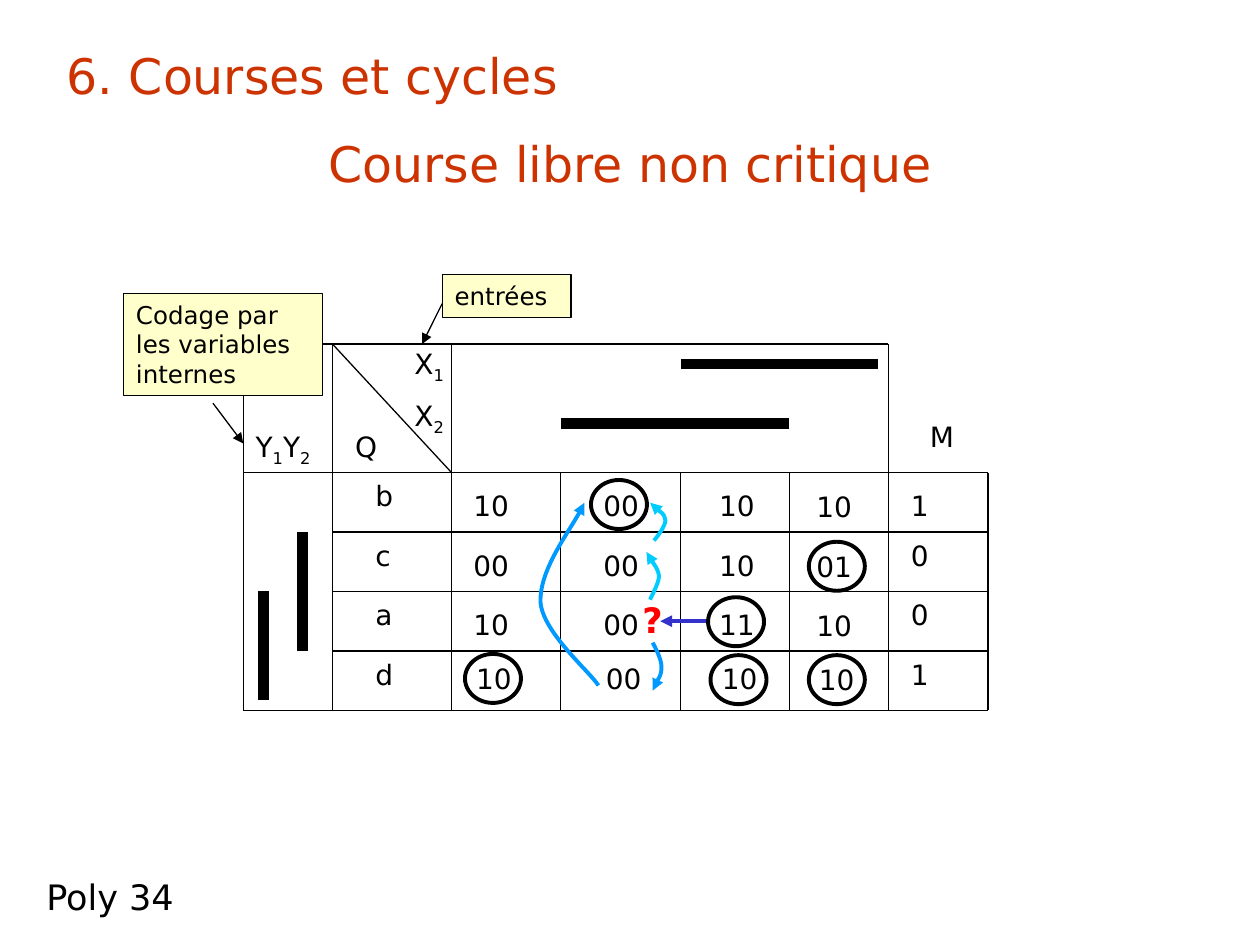
from dataclasses import dataclass
from itertools import chain
from typing import Any

from lxml.etree import SubElement as Sub
from pptx import Presentation
from pptx.dml.color import RGBColor as RGB
from pptx.enum.shapes import MSO_CONNECTOR as Conn, MSO_SHAPE as Kind
from pptx.enum.text import MSO_ANCHOR as Anchor, MSO_AUTO_SIZE as Fit, PP_ALIGN as Align
from pptx.oxml.ns import qn
from pptx.util import Pt


@dataclass(frozen=True)
class Theme:
    face: str = "DejaVu Sans"
    ink: str = "000000"
    title: str = "CC3300"
    note: str = "FFFFCC"
    alert: str = "FF0000"
    navy: str = "3333CC"
    blue: str = "0099FF"
    cyan: str = "00CCFF"
    huge: float = 28
    big: float = 20
    body: float = 16
    small: float = 14
    thin: float = 0.75
    mid: float = 2.25
    thick: float = 6


T = Theme()


@dataclass(frozen=True)
class Label:
    text: str
    x: float
    y: float
    w: float = 45.4
    h: float = 26.6
    size: float = T.body
    tint: str = T.ink
    bold: bool = False
    align: Any = Align.LEFT
    anchor: Any = Anchor.TOP
    fit: Any = Fit.SHAPE_TO_FIT_TEXT


@dataclass(frozen=True)
class Line:
    x1: float
    y1: float
    x2: float
    y2: float
    width: float = T.thin
    tint: str = T.ink
    end: str = ""


@dataclass(frozen=True)
class Curve:
    points: tuple
    tint: str
    end: str = "tailEnd"


def style(item: Any, form: dict) -> None:
    for key, value in form.items():
        setattr(item, key, value)


def stroke(shape: Any, tint: str, width: float, end: str = "") -> None:
    shape.line.color.rgb = RGB.from_string(tint)
    shape.line.width = Pt(width)
    if end:
        Sub(shape.line._get_or_add_ln(), qn("a:" + end), type="triangle")


def write(shape: Any, label: Label) -> None:
    frame = shape.text_frame
    style(frame, {"word_wrap": True, "auto_size": label.fit,
                  "vertical_anchor": label.anchor})
    for i, text in enumerate(label.text.split("\n")):
        para = frame.add_paragraph() if i else frame.paragraphs[0]
        para.alignment = label.align
        if i:
            para.space_before = Pt(label.size / 2)
        first, *rest = text.split("_")
        parts = [(first, False)]
        for piece in rest:
            parts += [(piece[0], True), (piece[1:], False)]
        for part, low in parts:
            if not part:
                continue
            run = para.add_run()
            run.text = part
            style(run.font, {"name": T.face, "size": Pt(label.size), "bold": label.bold})
            run.font.color.rgb = RGB.from_string(label.tint)
            if low:
                run._r.get_or_add_rPr().set("baseline", "-25000")


def draw_label(shapes: Any, label: Label) -> None:
    write(shapes.add_textbox(*map(Pt, (label.x, label.y, label.w, label.h))), label)


def draw_note(shapes: Any, label: Label) -> None:
    box = shapes.add_shape(Kind.RECTANGLE, *map(Pt, (label.x, label.y, label.w, label.h)))
    box.shadow.inherit = False
    box.fill.solid()
    box.fill.fore_color.rgb = RGB.from_string(T.note)
    stroke(box, T.ink, T.thin)
    write(box, label)


def draw_line(shapes: Any, line: Line) -> None:
    item = shapes.add_connector(Conn.STRAIGHT, *map(Pt, (line.x1, line.y1, line.x2, line.y2)))
    stroke(item, line.tint, line.width, line.end)
    Sub(item._element.spPr, qn("a:effectLst"))


def draw_ring(shapes: Any, x: float, y: float) -> None:
    ring = shapes.add_shape(Kind.OVAL, *map(Pt, (x, y, 32, 28)))
    ring.shadow.inherit = False
    ring.fill.background()
    stroke(ring, T.ink, T.mid)


def draw_curve(shapes: Any, curve: Curve) -> None:
    first, *rest = [(Pt(x), Pt(y)) for x, y in curve.points]
    form = shapes.build_freeform(*first)
    form.add_line_segments(rest, close=False)
    item = form.convert_to_shape()
    route = item._element.find(".//" + qn("a:path"))
    steps = route.findall(qn("a:lnTo"))
    for i in range(0, len(steps), 3):
        bend = Sub(route, qn("a:cubicBezTo"))
        for step in steps[i:i + 3]:
            bend.append(step[0])
            route.remove(step)
    item.shadow.inherit = False
    item.fill.background()
    stroke(item, curve.tint, T.mid, curve.end)


TOP, STEP = 196.6, 34
ROWS = [270 + STEP * i for i in range(5)]
LEFT, CODE, STATE, *COLS, END = 139, 190, 258, 320.4, 389, 451, 507.6, 564.5
EDGE = COLS[-1]

GRID = [
    *(Line(LEFT if y in (ROWS[0], ROWS[-1]) else CODE, y, END, y) for y in ROWS),
    *(Line(x, TOP, x, ROWS[-1]) for x in (CODE, STATE, EDGE)),
    *(Line(x, ROWS[0], x, ROWS[-1]) for x in (*COLS[:-1], END)),
    Line(LEFT, ROWS[-1], LEFT, 213),
    Line(184, TOP, EDGE, TOP),
    Line(CODE, TOP, STATE, ROWS[0]),
]
BARS = [Line(*ends, T.thick) for ends in (
    (389, 208, 502, 208), (320.4, 242, 451, 242),
    (150.5, 338, 150.5, 400), (173, 304, 173, 372))]
ARROWS = [Line(405.4, 355, 377.3, 355, T.mid, T.navy, "tailEnd"),
          Line(121.7, 230.4, 139, 253.4, end="tailEnd"),
          Line(252.7, 173.5, 241.2, 196.6, end="tailEnd")]
HEADS = [Label("Y_1Y_2", 139, 242, 51), Label("X_1\nX_2", 229.7, 194.4, 57, 55.4),
         Label("Q", 195.8, 242, 51), Label("M", 524.2, 236.2, 51)]
STATES = [Label(name, 207.4, y, 34) for name, y in zip("bcad", ROWS)]
CODES = [(263.5, 0, ("10", "00", "10", "10")), (337.7, 0, ("00",) * 4),
         (403.9, 0, ("10", "10", "11", "10")), (459.4, 0.7, ("10", "01", "10", "10"))]
CELLS = [Label(text, x + (1.5 if i == 3 else 0), (374.4 if i == 3 else 275.8 + STEP * i) + drop)
         for x, drop, texts in CODES for i, text in enumerate(texts)]
OUTS = [Label(text, 513.4, y) for text, y in zip("1001", (275.8, *ROWS[1:4]))]
RINGS = [(337.7, 274.3), (406, 374.4), (462.2, 309.6), (404.6, 341.3),
         (265.7, 373.7), (462.2, 374.4)]
CURVES = [
    Curve(((371.5, 342.7), (372.2, 340.6), (376.6, 333.4), (376.6, 329),
           (375.8, 324.7), (370.8, 318.2), (369.4, 315.4)), T.cyan),
    Curve(((373, 394.6), (373.7, 392.4), (378, 386), (378, 380.9),
           (378, 376.6), (374.4, 370), (373, 367.2)), T.blue, "headEnd"),
    Curve(((342, 391.7), (337, 383.8), (310.3, 361.4), (308.9, 344.2),
           (308.2, 326.2), (329, 298.8), (334, 287.3)), T.blue),
    Curve(((373.7, 308.9), (375, 307.4), (380.2, 301), (380.2, 297.4),
           (379.4, 293), (373, 289.4), (371.5, 287.3)), T.cyan),
]
NOTES = [Label("entrées", 252.7, 157, 73.7, 24.5, T.small),
         Label("Codage par les variables internes", 70.6, 167.8, 113.8, 58.3, T.small)]
TEXTS = [
    Label("Course libre non critique", 54, 48.2, 612, 90, T.huge, T.title,
          align=Align.CENTER, anchor=Anchor.MIDDLE, fit=Fit.NONE),
    Label("6. Courses et cycles", 31, -2.2, 464.4, 90, T.huge, T.title,
          anchor=Anchor.MIDDLE, fit=Fit.NONE),
    Label("?", 360, 338.4, 23, 31, T.big, T.alert, True),
    Label("Poly 34", 19.4, 496.8, 102.2, 31.7, T.big),
]


def main() -> None:
    deck = Presentation()
    style(deck, {"slide_width": Pt(720), "slide_height": Pt(540)})
    shapes = deck.slides.add_slide(deck.slide_layouts[6]).shapes
    for line in chain(GRID, BARS, ARROWS):
        draw_line(shapes, line)
    for spot in RINGS:
        draw_ring(shapes, *spot)
    for curve in CURVES:
        draw_curve(shapes, curve)
    for label in chain(HEADS, STATES, CELLS, OUTS, TEXTS):
        draw_label(shapes, label)
    for note in NOTES:
        draw_note(shapes, note)
    deck.save("out.pptx")


if __name__ == "__main__":
    main()
